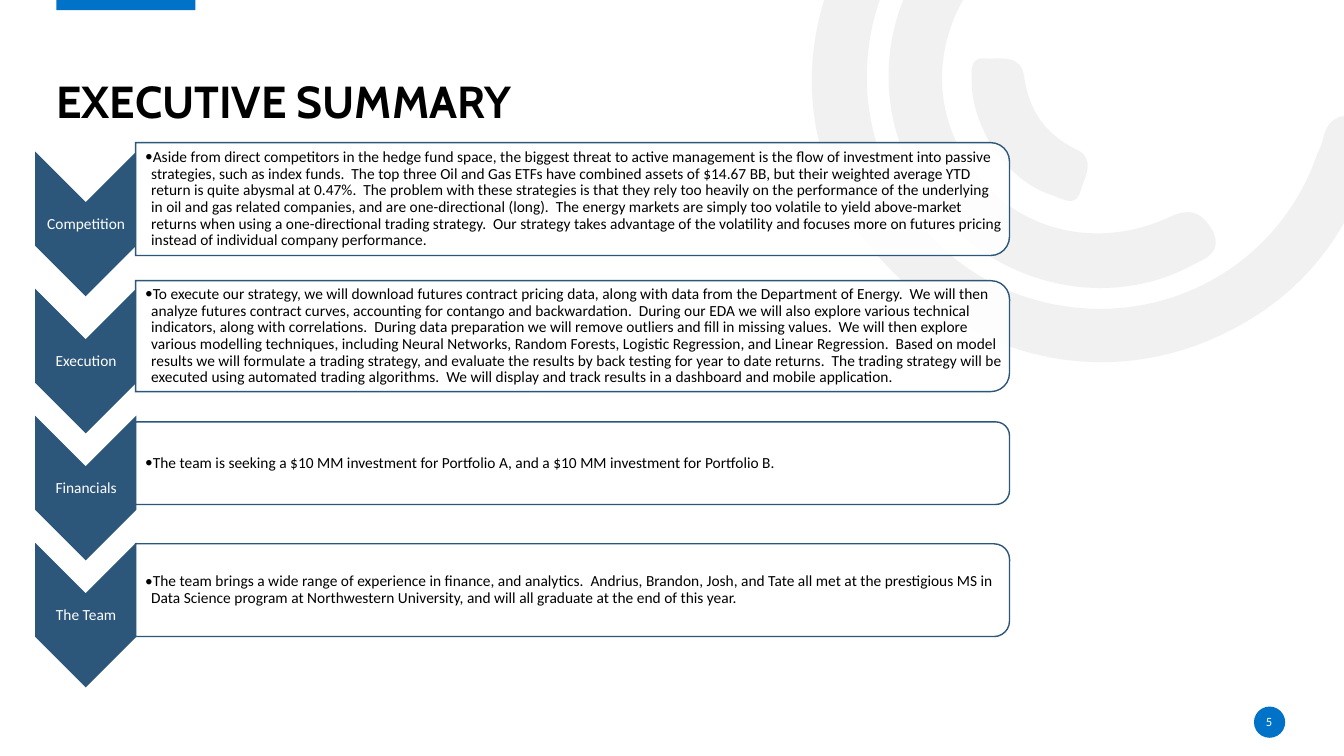
from dataclasses import dataclass
from math import cos, radians, sin

from lxml.etree import SubElement
from pptx import Presentation
from pptx.dml.color import RGBColor
from pptx.enum.shapes import MSO_SHAPE
from pptx.enum.text import MSO_ANCHOR, MSO_AUTO_SIZE, PP_ALIGN
from pptx.oxml.ns import qn
from pptx.util import Inches, Pt


@dataclass(frozen=True)
class Theme:
    blue: str = "0072C7"
    navy: str = "2C567A"
    white: str = "FFFFFF"
    black: str = "000000"
    ring: str = "E7E6E6"
    heading_font: str = "Cabin"
    body_font: str = "Calibri"
    title_size: float = 32
    body_size: float = 11
    number_size: float = 9
    outline: float = 1


def write_text(frame, text, *, font, size, color, bold=False, align=PP_ALIGN.LEFT,
               anchor=MSO_ANCHOR.MIDDLE, insets=(0, 0, 0, 0), spacing=0.9, bullet_indent=None):
    """Fill a text frame with one formatted paragraph."""
    frame.word_wrap = True
    frame.auto_size = MSO_AUTO_SIZE.NONE
    frame.vertical_anchor = anchor
    frame.margin_left, frame.margin_top, frame.margin_right, frame.margin_bottom = (
        Inches(inset) for inset in insets)
    para = frame.paragraphs[0]
    para.alignment = align
    para.line_spacing = spacing
    if bullet_indent:
        para.level = 1
        properties = para._p.get_or_add_pPr()
        properties.set("marL", str(Inches(bullet_indent)))
        properties.set("indent", str(-Inches(bullet_indent)))
        SubElement(properties, qn("a:buFont")).set("typeface", font)
        SubElement(properties, qn("a:buChar")).set("char", "•")
    span = para.add_run()
    span.text = text
    span.font.name = font
    span.font.size = Pt(size)
    span.font.bold = bold
    span.font.color.rgb = RGBColor.from_string(color)


class SlideBuilder:
    def __init__(self, page, theme):
        self.page = page
        self.theme = theme

    def paint(self, shape, fill, opacity=100, line=None):
        shape.shadow.inherit = False
        shape.fill.solid()
        shape.fill.fore_color.rgb = RGBColor.from_string(fill)
        if opacity < 100:
            color = shape._element.spPr.find(qn("a:solidFill"))[0]
            SubElement(color, qn("a:alpha")).set("val", str(opacity * 1000))
        if line:
            shape.line.color.rgb = RGBColor.from_string(line)
            shape.line.width = Pt(self.theme.outline)
            SubElement(shape.line._ln, qn("a:miter")).set("lim", "800000")
        else:
            shape.line.fill.background()

    def shape(self, kind, left, top, width, height, **style):
        shape = self.page.shapes.add_shape(
            kind, Inches(left), Inches(top), Inches(width), Inches(height))
        self.paint(shape, **style)
        return shape

    def turned_shape(self, kind, center_x, center_y, width, height, **style):
        """A shape turned a quarter; width and height are as seen."""
        shape = self.shape(kind, center_x - height / 2, center_y - width / 2,
                           height, width, **style)
        shape.rotation = 90

    def ring(self, left, top, width, height, start, curves, turn=144.2):
        """A curved outline, given as seen, stored in a frame that is turned."""
        cosine, sine = cos(radians(turn)), sin(radians(turn))

        def to_frame(x, y):
            dx, dy = x - left - width / 2, y - top - height / 2
            return (Inches(width / 2 + dx * cosine + dy * sine),
                    Inches(height / 2 - dx * sine + dy * cosine))

        builder = self.page.shapes.build_freeform(*to_frame(*start))
        builder.add_line_segments([to_frame(*curve[4:]) for curve in curves], close=True)
        shape = builder.convert_to_shape()
        shape.left, shape.top, shape.width, shape.height = map(
            Inches, (left, top, width, height))
        shape.rotation = turn

        # Cubic curves take the place of the straight segments
        outline = next(shape._element.iter(qn("a:pathLst")))[0]
        outline.set("w", str(Inches(width)))
        outline.set("h", str(Inches(height)))
        for part in list(outline):
            outline.remove(part)
        self.add_points(outline, "a:moveTo", [to_frame(*start)])
        for curve in curves:
            self.add_points(outline, "a:cubicBezTo",
                            [to_frame(*curve[i:i + 2]) for i in (0, 2, 4)])
        SubElement(outline, qn("a:close"))
        self.paint(shape, self.theme.ring, opacity=53)

    def add_points(self, outline, tag, points):
        command = SubElement(outline, qn(tag))
        for x, y in points:
            point = SubElement(command, qn("a:pt"))
            point.set("x", str(int(x)))
            point.set("y", str(int(y)))

    def title(self, text, left, top, width, height):
        box = self.page.shapes.title
        box.left, box.top, box.width, box.height = map(Inches, (left, top, width, height))
        write_text(box.text_frame, text, font=self.theme.heading_font, bold=True,
                   size=self.theme.title_size, color=self.theme.black,
                   anchor=MSO_ANCHOR.BOTTOM)

    def text(self, text, left, top, width, height, **style):
        box = self.page.shapes.add_textbox(
            Inches(left), Inches(top), Inches(width), Inches(height))
        write_text(box.text_frame, text, font=self.theme.body_font, **style)

    def topic(self, label, detail, label_top, box_height):
        """A downward chevron with its label, and a rounded box with its detail."""
        theme = self.theme
        center_y = label_top + 0.21
        self.turned_shape(MSO_SHAPE.CHEVRON, 0.85, center_y, 0.99, 1.41,
                          fill=theme.navy, line=theme.navy)
        self.text(label, 0.36, label_top, 0.99, 0.42, size=theme.body_size,
                  color=theme.white, align=PP_ALIGN.CENTER, insets=(0.01,) * 4)
        box_y = center_y - 0.25
        self.turned_shape(MSO_SHAPE.ROUND_2_SAME_RECTANGLE, 5.68, box_y, 8.67, box_height,
                          fill=theme.white, opacity=90, line=theme.navy)
        text_height = box_height - 0.1
        self.text(detail, 1.35, box_y - text_height / 2, 8.62, text_height,
                  size=theme.body_size, color=theme.black,
                  insets=(0.09, 0.01, 0.01, 0.01), bullet_indent=0.06)


# Background rings: frame, start point, then cubic curves
RINGS = [
    (8.13, -2.02, 4.85, 6, (8.51, 2.29), [
        (7.99, 1.49, 7.87, 0.5, 8.38, -0.5), (8.9, -1.52, 9.76, -2.03, 10.9, -2.07),
        (11.05, -2.07, 11.21, -2.1, 11.31, -1.95), (11.44, -1.75, 11.27, -1.54, 10.98, -1.54),
        (9.67, -1.54, 8.65, -0.59, 8.6, 0.68), (8.56, 1.81, 9.36, 2.81, 10.46, 3.02),
        (11.6, 3.24, 12.7, 2.61, 13.07, 1.52), (13.09, 1.48, 13.11, 1.44, 13.12, 1.4),
        (13.16, 1.19, 13.27, 1.11, 13.49, 1.17), (13.73, 1.24, 13.67, 1.41, 13.61, 1.56),
        (13.34, 2.45, 12.78, 3.07, 11.91, 3.41), (10.7, 3.87, 9.36, 3.45, 8.51, 2.29)]),
    (9.01, -0.78, 2.13, 4.26, (9.22, 1.99), [
        (8.62, 1.15, 8.69, 0.07, 9.4, -0.68), (9.51, -0.79, 9.62, -0.95, 9.8, -0.78),
        (9.95, -0.64, 9.97, -0.5, 9.79, -0.32), (9.25, 0.26, 9.2, 1.08, 9.65, 1.68),
        (10.08, 2.29, 10.88, 2.49, 11.61, 2.15), (11.82, 2.05, 11.93, 2.12, 12.03, 2.29),
        (12.13, 2.5, 11.97, 2.56, 11.83, 2.63), (10.96, 3.1, 9.83, 2.82, 9.22, 1.99)]),
    (9.8, 0.37, 0.78, 1.83, (9.87, 1.51), [
        (9.75, 1.3, 9.64, 1.07, 9.64, 0.82), (9.64, 0.73, 9.61, 0.57, 9.76, 0.58),
        (9.92, 0.59, 10.13, 0.53, 10.16, 0.76), (10.21, 1.1, 10.36, 1.32, 10.67, 1.48),
        (10.88, 1.57, 10.76, 1.76, 10.72, 1.89), (10.68, 2.06, 10.55, 1.98, 10.45, 1.94),
        (10.21, 1.87, 10.03, 1.7, 9.87, 1.51)]),
]

# Topics: label, detail, label top, box height
TOPICS = [
    ("Competition", "Aside from direct competitors in the hedge fund space, the biggest threat to active management is the flow of investment into passive strategies, such as index funds.  The top three Oil and Gas ETFs have combined assets of $14.67 BB, but their weighted average YTD return is quite abysmal at 0.47%.  The problem with these strategies is that they rely too heavily on the performance of the underlying in oil and gas related companies, and are one-directional (long).  The energy markets are simply too volatile to yield above-market returns when using a one-directional trading strategy.  Our strategy takes advantage of the volatility and focuses more on futures pricing instead of individual company performance.", 2.015, 1.12),
    ("Execution", "To execute our strategy, we will download futures contract pricing data, along with data from the Department of Energy.  We will then analyze futures contract curves, accounting for contango and backwardation.  During our EDA we will also explore various technical indicators, along with correlations.  During data preparation we will remove outliers and fill in missing values.  We will then explore various modelling techniques, including Neural Networks, Random Forests, Logistic Regression, and Linear Regression.  Based on model results we will formulate a trading strategy, and evaluate the results by back testing for year to date returns.  The trading strategy will be executed using automated trading algorithms.  We will display and track results in a dashboard and mobile application.", 3.375, 1.1),
    ("Financials", "The team is seeking a $10 MM investment for Portfolio A, and a $10 MM investment for Portfolio B.", 4.635, 0.82),
    ("The Team", "The team brings a wide range of experience in finance, and analytics.  Andrius, Brandon, Josh, and Tate all met at the prestigious MS in  Data Science program at Northwestern University, and will all graduate at the end of this year.", 5.895, 0.92),
]


def main():
    deck = Presentation()
    deck.slide_width, deck.slide_height = Inches(40 / 3), Inches(7.5)
    theme = Theme()
    builder = SlideBuilder(deck.slides.add_slide(deck.slide_layouts[5]), theme)

    # Background and page number
    for ring in RINGS:
        builder.ring(*ring)
    builder.shape(MSO_SHAPE.RECTANGLE, 0.56, -0.02, 1.38, 0.12, fill=theme.blue)
    builder.shape(MSO_SHAPE.OVAL, 12.44, 7.01, 0.31, 0.31, fill=theme.blue)
    builder.text("5", 12.43, 7.06, 0.32, 0.2, size=theme.number_size, color=theme.white,
                 align=PP_ALIGN.CENTER, spacing=1.0)

    # Title and topics
    builder.title("EXECUTIVE SUMMARY", 0.56, 0.27, 12.19, 1)
    for topic in TOPICS:
        builder.topic(*topic)

    deck.save("out.pptx")


if __name__ == "__main__":
    main()
